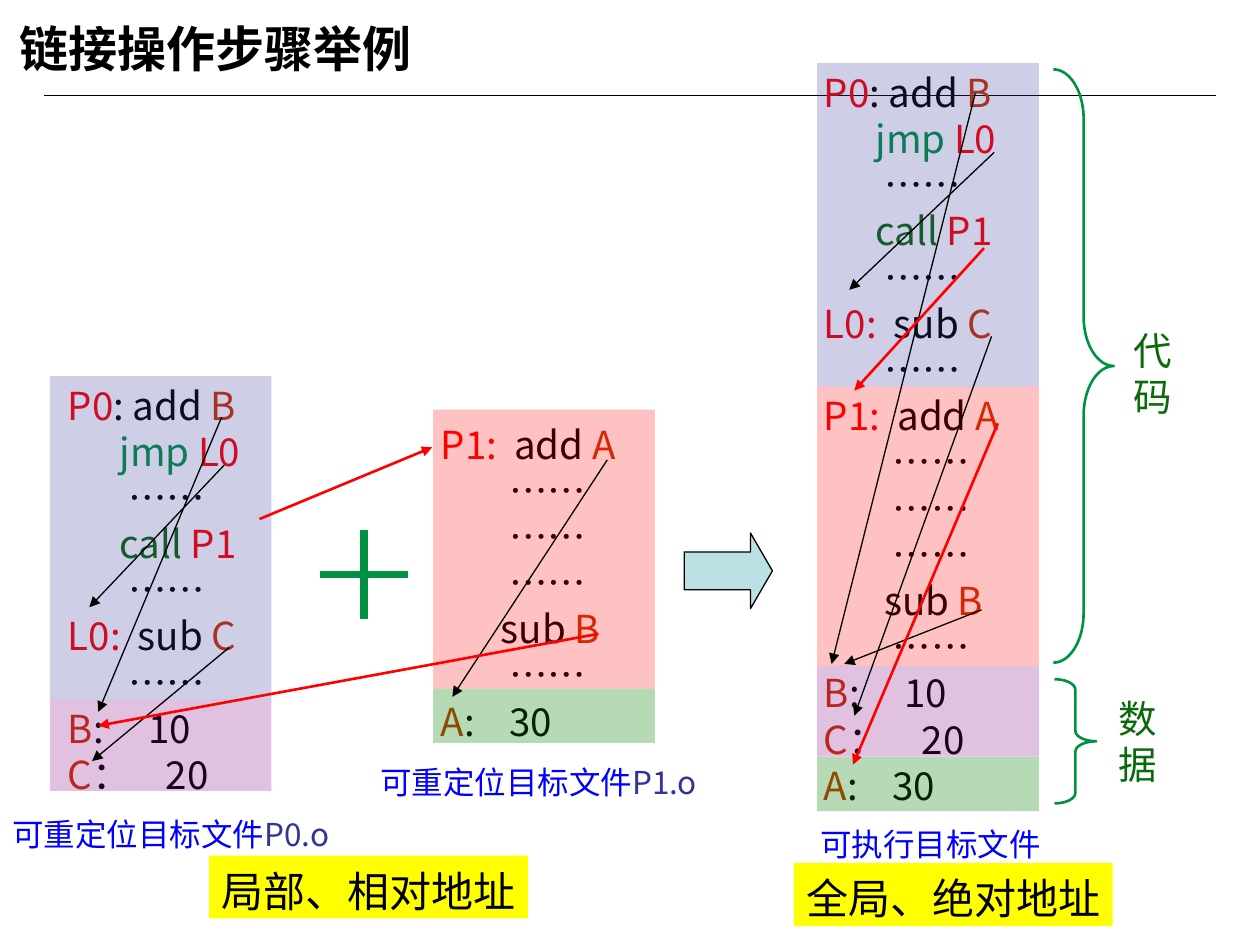
"""Build a slide that shows how two object files are linked into one."""
from lxml import etree
from pptx import Presentation
from pptx.dml.color import RGBColor
from pptx.enum.shapes import MSO_CONNECTOR, MSO_SHAPE
from pptx.enum.text import MSO_ANCHOR, PP_ALIGN
from pptx.oxml.ns import qn
from pptx.util import Pt

LINE = MSO_CONNECTOR.STRAIGHT
RECT = MSO_SHAPE.RECTANGLE
ARROW = MSO_SHAPE.RIGHT_ARROW
BRACE = MSO_SHAPE.RIGHT_BRACE
LEFT = PP_ALIGN.LEFT
TOP = MSO_ANCHOR.TOP
MIDDLE = MSO_ANCHOR.MIDDLE

BLACK = RGBColor(0x00, 0x00, 0x00)
RED = RGBColor(0xFF, 0x00, 0x00)
RUST = RGBColor(0xCC, 0x33, 0x00)
GREEN = RGBColor(0x00, 0x92, 0x42)
FOREST = RGBColor(0x0A, 0x6A, 0x0A)
LEAF = RGBColor(0x00, 0x80, 0x00)
BLUE = RGBColor(0x00, 0x00, 0xFF)
NAVY = RGBColor(0x33, 0x33, 0x99)
PLUM = RGBColor(0x80, 0x00, 0x80)
AQUA = RGBColor(0xBB, 0xE0, 0xE3)
YELLOW = RGBColor(0xFF, 0xFF, 0x00)

SANS = "Noto Sans CJK SC"
ARIAL = "Arial"
CALIBRI = "Calibri"

DOTS = (0, ("       ……", BLACK))
WIDE = (0, ("        ……", BLACK))
P0_CODE = [
    (0, ("P0", RED), (": add ", BLACK), ("B", RUST)),
    (0, ("      jmp ", GREEN), ("L0", RED)),
    DOTS,
    (0, ("      call ", FOREST), ("P1", RED)),
    DOTS,
    (40, ("L0:\t", RED), ("sub ", BLACK), ("C", RUST)),
    DOTS,
]
P1_CODE = [
    (42, ("P1:\t", RED), ("add ", BLACK), ("A", RUST)),
    WIDE, WIDE, WIDE,
    (0, ("       sub ", BLACK), ("B", RUST)),
    WIDE,
]
P0_DATA = [
    (46, ("B", RUST), (":\t10", BLACK)),
    (56, ("C", RUST), ("：\t20", BLACK)),
]
P1_DATA = [(39, ("A", RUST), (":\t30", BLACK))]

P0_BAND = (185, NAVY, 24)
P1_BAND = (159.5, RED, 24)
BC_BAND = (52, PLUM, 24)
A_BAND = (31, LEAF, 29)

FILES = [
    ((463.7, 33.8, 147.6, 430), P0_CODE + P1_CODE + P0_DATA + P1_DATA,
     (467, 36), (P0_BAND, P1_BAND, BC_BAND, A_BAND)),
    ((244.8, 234.7, 136.8, 192), P1_CODE + P1_DATA,
     (247.5, 234), (P1_BAND, A_BAND)),
    ((31.7, 212.4, 147.6, 245), P0_CODE + P0_DATA,
     (28.5, 215), (P0_BAND, BC_BAND)),
]
LINKS = [
    (557.3, 53.3, 475.2, 379.4, BLACK),
    (560.9, 348.5, 482.4, 379.4, BLACK),
    (570.2, 241.9, 487.4, 437, RED),
    (566.6, 192.2, 488.2, 409, BLACK),
    (568.1, 87.1, 485.3, 165.6, BLACK),
    (562.3, 141.8, 488.2, 223.2, RED),
    (148.3, 296.6, 247, 255.6, RED),
    (128.2, 265.7, 51.1, 347, BLACK),
    (126.7, 238.3, 56.2, 406.8, BLACK),
    (131, 370, 52.6, 434.9, BLACK),
    (347, 262.8, 258.5, 398.2, BLACK),
    (342, 362.2, 56.2, 414.7, RED),
]
SPANS = [
    ((601.9, 39.6, 34.6, 339.1), 0.82, (640.8, 181.4, 50.4, 60.5), "代码"),
    ((602.6, 388.1, 23.8, 71), 0.25, (632.2, 391.7, 50.4, 60.5), "数据"),
]
NAMES = [
    (210.2, 430.6, "可重定位目标文件", "P1.o"),
    (0, 460.1, "可重定位目标文件", "P0.o"),
    (461.5, 465.8, "可执行目标文件", ""),
]
NOTES = [(119.5, 488.9, "局部、相对地址"), (453.6, 493.2, "全局、绝对地址")]


class Board:
    """Hold the style and the slide being drawn."""

    def __init__(self, slide):
        self.shapes = slide.shapes
        self.lead = 1.2
        self.pads = (7.2, 5.6, 7.2, 2)

    def label(self, shape, rows, size, anchor=TOP, wrap=True, bold=False):
        """Fill a shape with rows of (tab stop, runs)."""
        frame = shape.text_frame
        frame.word_wrap = wrap
        frame.vertical_anchor = anchor
        (frame.margin_left, frame.margin_top,
         frame.margin_right, frame.margin_bottom) = map(Pt, self.pads)
        for num, (tab, *runs) in enumerate(rows):
            para = frame.add_paragraph() if num else frame.paragraphs[0]
            para.alignment = LEFT
            para.line_spacing = Pt(round(size * self.lead, 1))
            if tab:
                stops = etree.SubElement(para._p.get_or_add_pPr(), qn("a:tabLst"))
                etree.SubElement(stops, qn("a:tab"), pos=str(Pt(tab)), algn="l")
            for text, color, *face in runs:
                run = para.add_run()
                run.text = text
                run.font.size = Pt(size)
                run.font.bold = bold
                run.font.color.rgb = color
                run.font.name = face[0] if face else SANS
                etree.SubElement(run._r.get_or_add_rPr(), qn("a:ea"), typeface=SANS)

    def text(self, box, rows, size, **style):
        """Add a text box."""
        self.label(self.shapes.add_textbox(*map(Pt, box)), rows, size, **style)

    def shape(self, kind, box, fill=None, line=None, width=0.75, alpha=100, adj=()):
        """Add a preset shape."""
        shape = self.shapes.add_shape(kind, *map(Pt, box))
        shape.shadow.inherit = False
        for num, value in enumerate(adj):
            shape.adjustments[num] = value
        if fill is None:
            shape.fill.background()
        else:
            shape.fill.solid()
            shape.fill.fore_color.rgb = fill
        if alpha < 100:
            tint = shape._element.spPr.find(".//" + qn("a:srgbClr"))
            etree.SubElement(tint, qn("a:alpha"), val=str(alpha * 1000))
        if line is None:
            shape.line.fill.background()
        else:
            shape.line.color.rgb = line
            shape.line.width = Pt(width)
        return shape

    def line(self, ends, color, width=0.75, head=False):
        """Add a line, with an arrowhead on request."""
        link = self.shapes.add_connector(LINE, *map(Pt, ends))
        link.line.color.rgb = color
        link.line.width = Pt(width)
        if head:
            etree.SubElement(link.get_or_add_ln(), qn("a:tailEnd"), type="triangle")
        etree.SubElement(link._element.spPr, qn("a:effectLst"))

    def bands(self, left, top, parts):
        """Stack tinted bands from the top down."""
        for height, color, alpha in parts:
            self.shape(RECT, (left, top, 126.7, height), color, alpha=alpha)
            top += height


def main():
    """Draw the slide and save it."""
    deck = Presentation()
    deck.slide_width, deck.slide_height = Pt(720), Pt(540)
    board = Board(deck.slides.add_slide(deck.slide_layouts[6]))
    board.line((25.2, 54.7, 694.8, 54.7), BLACK)
    board.line((182.9, 328.3, 233.3, 328.3), GREEN, 4.5)
    board.line((208.1, 303.1, 208.1, 353.5), GREEN, 4.5)
    board.shape(ARROW, (391, 304.6, 50.4, 43.2), AQUA, BLACK, adj=(0.5, 0.29))
    for box, curve, place, word in SPANS:
        board.shape(BRACE, box, line=GREEN, width=1.5, adj=(curve, 0.5))
        board.text(place, [(0, (word, FOREST, ARIAL))], 22)
    for box, code, spot, parts in FILES:
        board.text(box, code, 22)
        board.bands(*spot, parts)
    for *ends, color in LINKS:
        board.line(ends, color, 1.5 if color == RED else 0.75, head=True)
    for left, top, word, name in NAMES:
        runs = [(word, BLUE, CALIBRI)] + ([(name, NAVY)] if name else [])
        board.text((left, top, 201, 28.8), [(0, *runs)], 18)
    board.text((4.3, 6.5, 614.2, 38.2), [(0, ("链接操作步骤举例", BLACK))], 28,
               anchor=MIDDLE, bold=True)
    for left, top, word in NOTES:
        note = board.shape(RECT, (left, top, 182.2, 36), YELLOW)
        board.label(note, [(0, (word, BLACK))], 24, wrap=False)
    deck.save("out.pptx")


if __name__ == "__main__":
    main()
